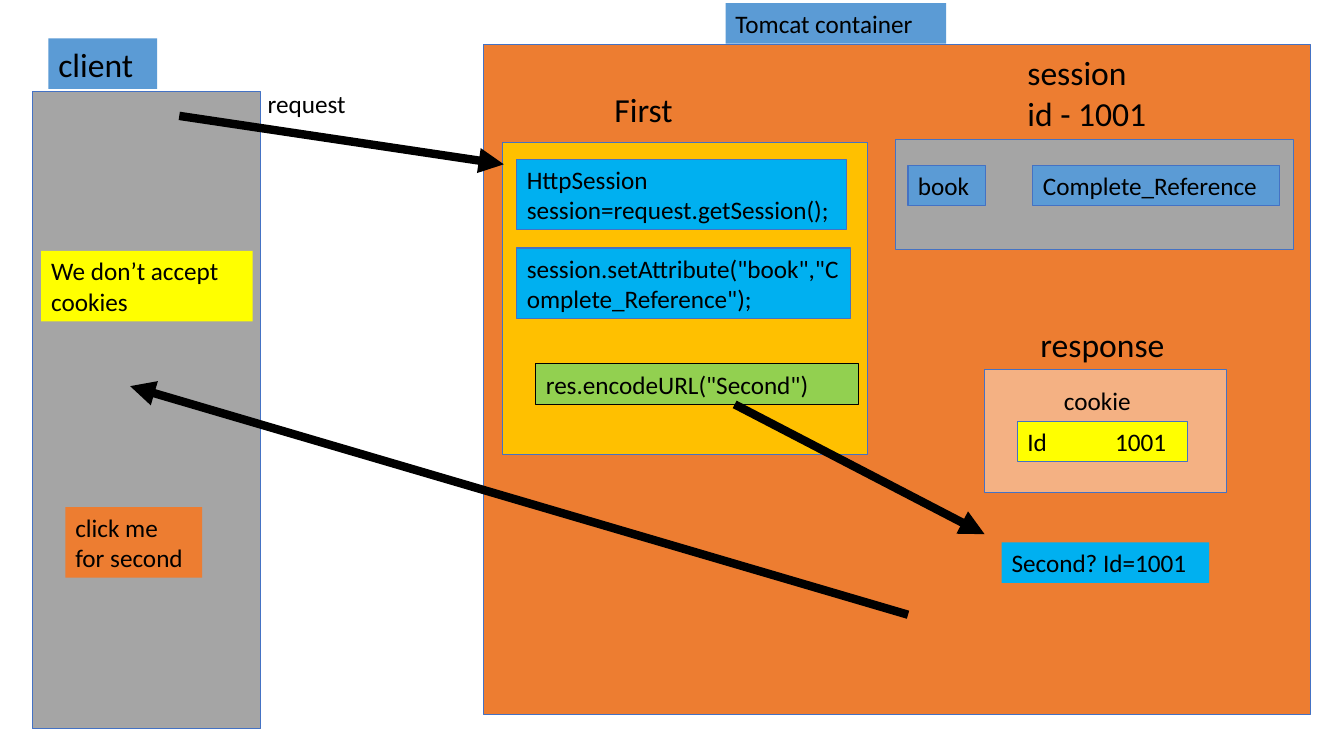
from dataclasses import dataclass

from lxml.etree import SubElement
from pptx import Presentation
from pptx.dml.color import RGBColor
from pptx.enum.shapes import MSO_CONNECTOR, MSO_SHAPE
from pptx.enum.text import MSO_ANCHOR, PP_ALIGN
from pptx.oxml.ns import qn
from pptx.slide import Slide
from pptx.util import Cm, Pt

COLORS = {
    "black": "000000", "outline": "4472C4", "orange": "ED7D31",
    "peach": "F4B183", "blue": "5B9BD5", "gray": "A5A5A5",
    "gold": "FFC000", "yellow": "FFFF00", "sky": "00B0F0", "green": "92D050",
}
FONT = "Calibri"
BODY, HEADING = 18, 24
# Box heights in cm for one and two lines of text
BODY_1, BODY_2, HEADING_1, HEADING_2 = 1.02, 1.78, 1.27, 2.29
ID_TAB = 2.21


@dataclass(frozen=True)
class Box:
    left: float
    top: float
    width: float
    height: float
    text: str = ""
    fill: str = ""
    line: str = ""
    size: int = BODY


@dataclass(frozen=True)
class Arrow:
    x1: float
    y1: float
    x2: float
    y2: float


# Large areas, then the parts inside them
PANELS = [
    Box(12.19, 1.12, 20.85, 16.89, fill="orange", line="outline"),
    Box(24.82, 9.32, 6.1, 3.1, fill="peach", line="outline"),
    Box(22.58, 3.51, 10.03, 2.79, fill="gray", line="outline"),
    Box(12.67, 3.58, 9.19, 7.87, fill="gold", line="outline"),
    Box(0.81, 2.31, 5.77, 16.05, fill="gray", line="outline"),
]
HEADINGS = [
    Box(18.29, 0.08, 5.56, BODY_1, "Tomcat container", "blue"),
    Box(1.22, 0.97, 2.74, HEADING_1, "client", "blue", size=HEADING),
    Box(25.65, 1.19, 4.8, HEADING_2, "session\nid - 1001", size=HEADING),
    Box(15.24, 2.11, 2.13, HEADING_1, "First", size=HEADING),
    Box(25.98, 8.03, 3.86, HEADING_1, "response", size=HEADING),
    Box(26.57, 9.58, 3.2, BODY_1, "cookie"),
    Box(6.5, 2.11, 3.4, BODY_1, "request"),
]
SESSION_DATA = [
    Box(22.89, 4.17, 1.96, BODY_1, "book", "blue", "outline"),
    Box(26.04, 4.17, 6.22, BODY_1, "Complete_Reference", "blue", "outline"),
]
SERVLET_CODE = [
    Box(13.03, 4.01, 8.31, BODY_2, "HttpSession session=request.getSession();",
        "sky", "outline"),
    Box(13.03, 6.25, 8.41, BODY_2,
        'session.setAttribute("book","Complete_Reference");', "sky", "outline"),
    Box(13.51, 9.17, 8.13, BODY_1, 'res.encodeURL("Second")', "green", "black"),
]
RESPONSE_DATA = [
    Box(25.65, 10.62, 4.29, BODY_1, "Id\t1001", "yellow", "outline"),
    Box(25.25, 13.67, 5.23, BODY_1, "Second? Id=1001", "sky"),
]
CLIENT_NOTES = [
    Box(1.04, 6.32, 5.33, BODY_2, "We don’t accept cookies", "yellow"),
    Box(1.65, 12.78, 3.45, BODY_2, "click me for second", "orange"),
]
ARROWS = [
    Arrow(4.52, 2.92, 12.7, 4.14),
    Arrow(22.89, 15.49, 3.28, 9.73),
    Arrow(18.52, 10.19, 24.82, 13.46),
]


def rgb(name: str) -> RGBColor:
    return RGBColor.from_string(COLORS[name])


def write_text(shape, box: Box) -> None:
    frame = shape.text_frame
    frame.word_wrap = True
    frame.vertical_anchor = MSO_ANCHOR.TOP
    frame.text = box.text
    for paragraph in frame.paragraphs:
        paragraph.alignment = PP_ALIGN.LEFT
        if "\t" in box.text:
            tabs = SubElement(paragraph._p.get_or_add_pPr(), qn("a:tabLst"))
            SubElement(tabs, qn("a:tab"), pos=str(Cm(ID_TAB)), algn="l")
        for run in paragraph.runs:
            run.font.name = FONT
            run.font.size = Pt(box.size)
            run.font.color.rgb = rgb("black")


def draw_box(slide: Slide, box: Box) -> None:
    frame = [Cm(v) for v in (box.left, box.top, box.width, box.height)]
    if box.fill:
        shape = slide.shapes.add_shape(MSO_SHAPE.RECTANGLE, *frame)
        shape.shadow.inherit = False
        shape.fill.solid()
        shape.fill.fore_color.rgb = rgb(box.fill)
        if box.line:
            shape.line.color.rgb = rgb(box.line)
            shape.line.width = Pt(0.75)
        else:
            shape.line.fill.background()
    else:
        shape = slide.shapes.add_textbox(*frame)
    if box.text:
        write_text(shape, box)


def draw_arrow(slide: Slide, arrow: Arrow) -> None:
    ends = [Cm(v) for v in (arrow.x1, arrow.y1, arrow.x2, arrow.y2)]
    connector = slide.shapes.add_connector(MSO_CONNECTOR.STRAIGHT, *ends)
    connector.line.color.rgb = rgb("black")
    connector.line.width = Pt(6)
    SubElement(connector.line._get_or_add_ln(), qn("a:tailEnd"), type="triangle")
    SubElement(connector._element.spPr, qn("a:effectLst"))


def main() -> None:
    deck = Presentation()
    deck.slide_width, deck.slide_height = Cm(33.88), Cm(19.05)
    slide = deck.slides.add_slide(deck.slide_layouts.get_by_name("Blank"))
    for group in (PANELS, HEADINGS, SESSION_DATA, SERVLET_CODE,
                  RESPONSE_DATA, CLIENT_NOTES):
        for box in group:
            draw_box(slide, box)
    for arrow in ARROWS:
        draw_arrow(slide, arrow)
    deck.save("out.pptx")


if __name__ == "__main__":
    main()
